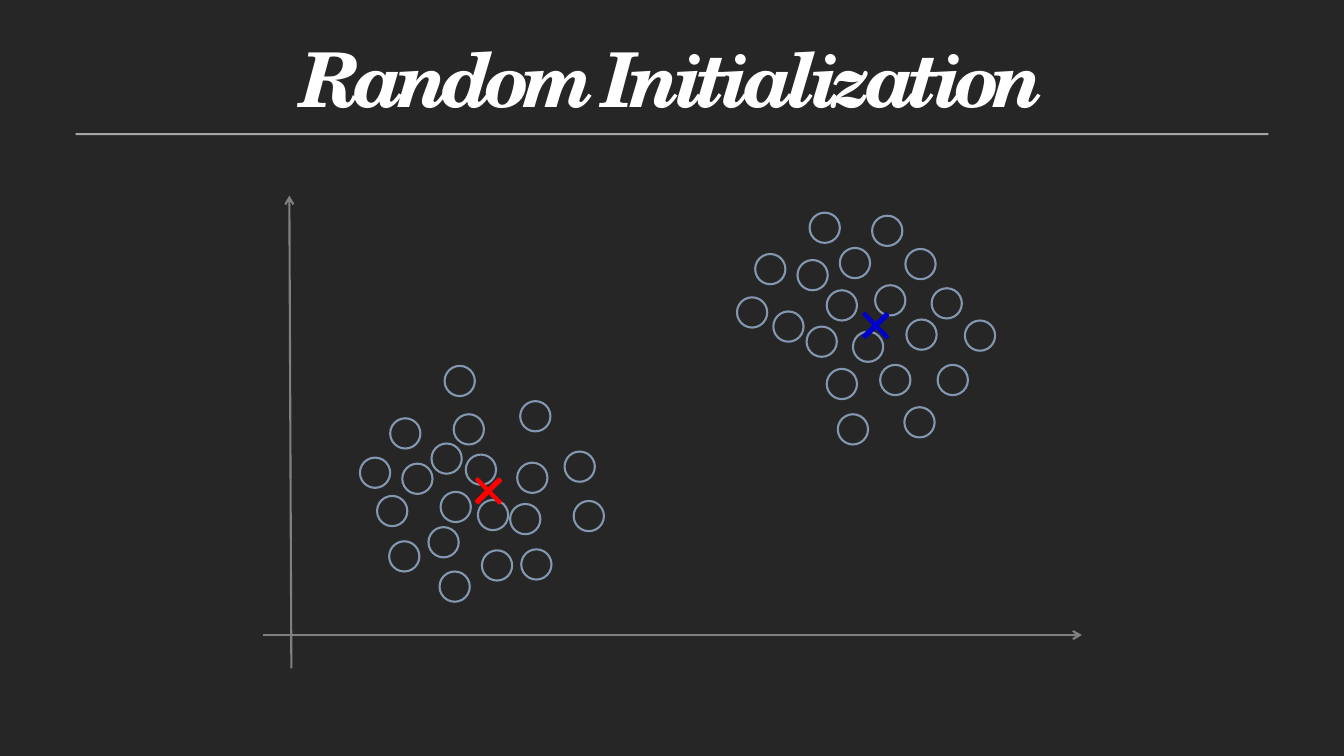
from lxml import etree
from pptx import Presentation
from pptx import util as u
from pptx.dml.color import RGBColor
from pptx.enum import shapes, text
from pptx.oxml.ns import qn

COLORS = {
    "background": "262626", "rule": "A6A6A6", "title": "FFFFFF", "axis": "808080",
    "point": "8497B0", "red": "FF0000", "blue": "0000CC",
}
CELL = 0.1  # inches per column and row of the grid
POINT_SIZE = 3
LINE_WIDTH = u.Pt(1.5)

# Left column and top row of each data point
LOWER_CLUSTER = [
    (47.4, 49.6), (43.6, 56.7), (38.6, 53.7), (51.7, 54.5), (39.9, 46),
    (46.2, 45.1), (42.5, 52.3), (37.4, 49.2), (50.6, 50), (38.7, 41.5),
    (51.3, 45.9), (47.8, 54.6), (43.7, 48.8), (56.9, 49.7), (45, 41.1),
    (51.6, 39.8), (35.7, 45.4), (42.8, 44), (56, 44.8), (44.1, 36.3),
]
UPPER_CLUSTER = [
    (87.3, 36.2), (82, 28.8), (83.1, 41.1), (93, 36.2), (76.7, 30.9),
    (86.5, 21.4), (84.6, 32.9), (82, 36.6), (89.9, 31.7), (74.9, 25.2),
    (86.8, 28.3), (89.7, 40.4), (80, 32.4), (95.7, 31.8), (83.3, 24.6),
    (89.8, 24.7), (73.1, 29.5), (79.1, 25.8), (92.4, 28.6), (80.3, 21.1),
]


def grid(*cells):
    return [u.Inches(cell * CELL) for cell in cells]


def color(name):
    return RGBColor.from_string(COLORS[name])


def add_shape(page, kind, place, fill=None, line=None):
    shape = page.shapes.add_shape(kind, *grid(*place))
    shape.shadow.inherit = False
    if fill:
        shape.fill.solid()
        shape.fill.fore_color.rgb = color(fill)
    else:
        shape.fill.background()
    if line:
        shape.line.color.rgb = color(line)
        shape.line.width = LINE_WIDTH
    else:
        shape.line.fill.background()
    return shape


def add_title(page, wording):
    title = page.shapes.title
    title.left, title.top, title.width, title.height = grid(11.3, 0.5, 110.8, 11.7)
    frame = title.text_frame
    frame.text = wording
    frame.word_wrap = True
    frame.auto_size = text.MSO_AUTO_SIZE.SHAPE_TO_FIT_TEXT
    frame.vertical_anchor = text.MSO_ANCHOR.TOP
    frame.margin_top, frame.margin_bottom = u.Inches(0.05), 0
    para = frame.paragraphs[0]
    para.alignment = text.PP_ALIGN.CENTER
    para.line_spacing = u.Pt(80.7)
    para.space_before = u.Pt(0)
    span = para.runs[0]
    span.font.name = "TeX Gyre Schola"
    span.font.size = u.Pt(54)
    span.font.bold = span.font.italic = True
    span.font.color.rgb = color("title")
    span.font._element.set("spc", "-480")


def add_axis(page, start, end):
    axis = page.shapes.add_connector(shapes.MSO_CONNECTOR.STRAIGHT, *grid(*start, *end))
    axis.line.color.rgb = color("axis")
    axis.line.width = LINE_WIDTH
    etree.SubElement(axis.line._get_or_add_ln(), qn("a:tailEnd"), type="arrow")
    etree.SubElement(axis._element.spPr, qn("a:effectLst"))


def add_cluster(page, points):
    for column, row in points:
        add_shape(page, shapes.MSO_SHAPE.OVAL, (column, row, POINT_SIZE, POINT_SIZE), line="point")


def add_centroid(page, column, row, name):
    cross = add_shape(page, shapes.MSO_SHAPE.CROSS, (column, row, 3.3, 3.2), name, name)
    cross.adjustments[0] = 0.466
    cross.rotation = 45.6


def main():
    deck = Presentation()
    deck.slide_width, deck.slide_height = u.Inches(13.33), u.Inches(7.5)
    page = deck.slides.add_slide(deck.slide_layouts.get_by_name("Title Only"))
    page.background.fill.solid()
    page.background.fill.fore_color.rgb = color("background")

    # Heading and its rule
    add_title(page, "Random Initialization")
    add_shape(page, shapes.MSO_SHAPE.RECTANGLE, (7.5, 13.2, 118.3, 0.2), fill="rule")

    # Vertical and horizontal axes
    add_axis(page, (28.9, 66.3), (28.7, 19.4))
    add_axis(page, (26.1, 63), (107.3, 63))

    # Data points, then the initial centroids on top
    add_cluster(page, LOWER_CLUSTER)
    add_cluster(page, UPPER_CLUSTER)
    add_centroid(page, 46.8, 47.1, "red")
    add_centroid(page, 85.2, 30.7, "blue")

    deck.save("out.pptx")


if __name__ == "__main__":
    main()
